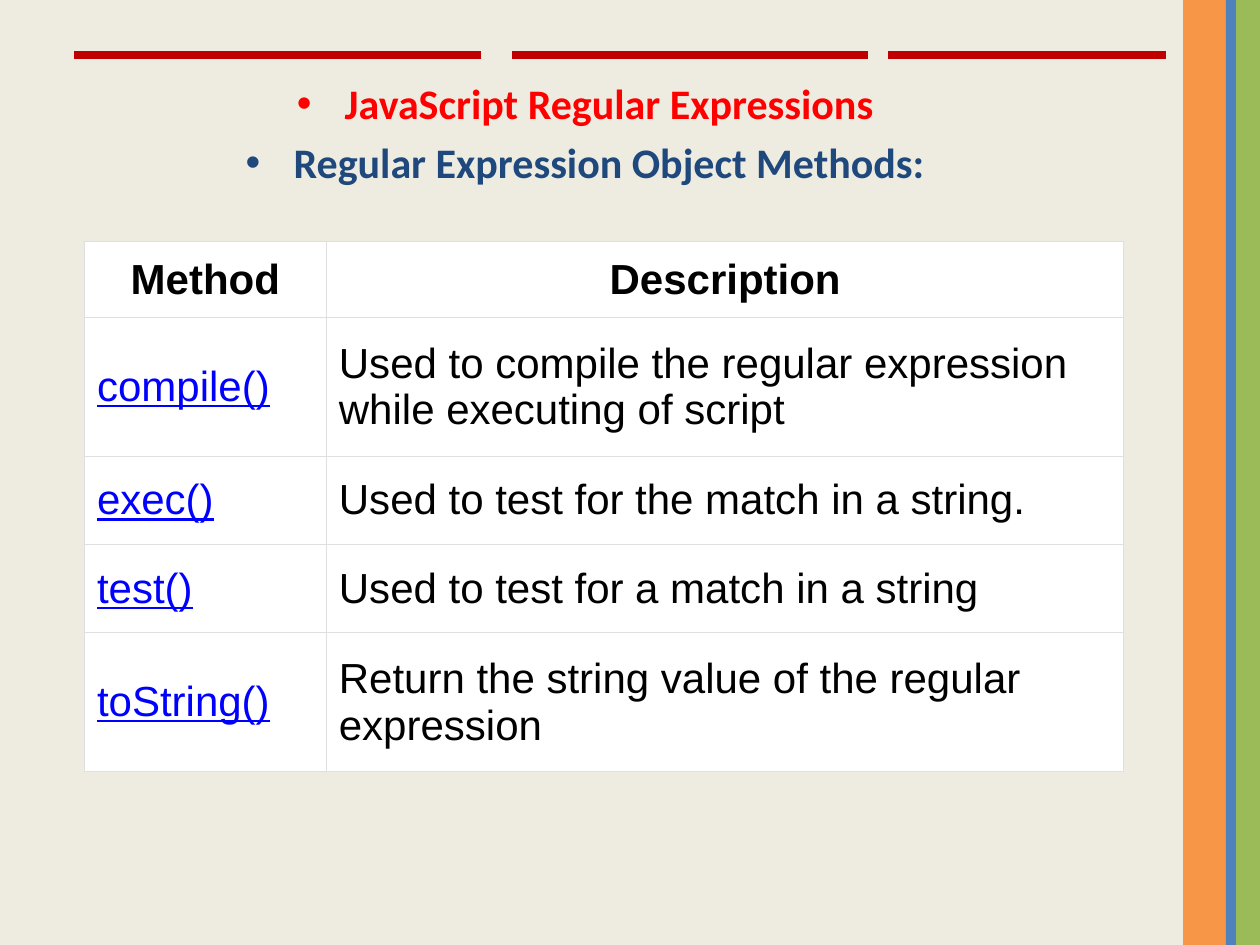
"""Build the slide on JavaScript regular expression object methods."""
import pptx
import pptx.dml.color
import pptx.enum.shapes
import pptx.enum.text
import pptx.oxml
import pptx.oxml.ns
import pptx.util
from dataclasses import dataclass

Inches = pptx.util.Inches
Pt = pptx.util.Pt
ALIGN = pptx.enum.text.PP_ALIGN


@dataclass(frozen=True)
class Theme:
    background: str = "EEECE1"
    orange: str = "F79646"
    blue: str = "4F81BD"
    green: str = "9BBB59"
    rule: str = "C00000"
    title: str = "FF0000"
    subtitle: str = "1F497D"
    cell: str = "FFFFFF"
    border: str = "DFDFDF"
    text: str = "000000"
    method: str = "0000FF"
    heading_font: str = "Calibri"
    table_font: str = "Arial"
    size: float = 24
    rule_width: float = 4.5
    border_width: float = 0.75


THEME = Theme()
HEADINGS = [
    ("JavaScript Regular Expressions", THEME.title, 0),
    ("Regular Expression Object Methods:", THEME.subtitle, 4.8),
]
STRIPES = [(9.39, 9.73, THEME.orange), (9.73, 9.81, THEME.blue), (9.81, 10, THEME.green)]
RULES = [(0.59, 3.82), (4.06, 6.89), (7.05, 9.25)]
RULE_TOP = 0.44
METHODS = [
    ("Method", "Description"),
    ("compile()", "Used to compile the regular expression while executing of script"),
    ("exec()", "Used to test for the match in a string."),
    ("test()", "Used to test for a match in a string"),
    ("toString()", "Return the string value of the regular expression"),
]
COLUMN_WIDTHS = [1.92, 6.33]
ROW_HEIGHTS = [0.58, 1.03, 0.66, 0.66, 1.03]


def color(value):
    return pptx.dml.color.RGBColor.from_string(value)


def add_xml(parent, content):
    parent.append(pptx.oxml.parse_xml(
        content.replace(" ", f" {pptx.oxml.ns.nsdecls('a')} ", 1)))


def add_run(paragraph, text, font_name, value, bold=False, underline=False):
    run = paragraph.add_run()
    run.text = text
    run.font.name = font_name
    run.font.size = Pt(THEME.size)
    run.font.color.rgb = color(value)
    run.font.bold = bold
    run.font.underline = underline


def add_stripe(slide, left, right, value):
    shape = slide.shapes.add_shape(
        pptx.enum.shapes.MSO_SHAPE.RECTANGLE,
        Inches(left), 0, Inches(right - left), Inches(7.5))
    shape.shadow.inherit = False
    shape.fill.solid()
    shape.fill.fore_color.rgb = color(value)
    shape.line.fill.background()


def add_rule(slide, start, end):
    connector = slide.shapes.add_connector(
        pptx.enum.shapes.MSO_CONNECTOR.STRAIGHT,
        Inches(start), Inches(RULE_TOP), Inches(end), Inches(RULE_TOP))
    connector.line.color.rgb = color(THEME.rule)
    connector.line.width = Pt(THEME.rule_width)
    add_xml(connector._element.spPr, "<a:effectLst />")


def add_headings(slide):
    shape = slide.shapes.add_textbox(Inches(0.56), Inches(0.57), Inches(8.17), Inches(6.73))
    frame = shape.text_frame
    frame.word_wrap = True
    for index, (text, value, space) in enumerate(HEADINGS):
        paragraph = frame.paragraphs[0] if index == 0 else frame.add_paragraph()
        paragraph.alignment = ALIGN.CENTER
        paragraph.space_before = Pt(space)
        properties = paragraph._p.get_or_add_pPr()
        properties.set("marL", str(Inches(0.38)))
        properties.set("indent", str(Inches(-0.38)))
        add_xml(properties, f'<a:buClr ><a:srgbClr val="{value}"/></a:buClr>')
        add_xml(properties, '<a:buFont typeface="Arial"/>')
        add_xml(properties, '<a:buChar char="•"/>')
        add_run(paragraph, text, THEME.heading_font, value, bold=True)


def format_cell(cell, text, is_header, is_method):
    side = Inches(0.04 if is_header and is_method else 0.1)
    cell.margin_left = cell.margin_right = side
    cell.margin_top = cell.margin_bottom = Inches(0.1 if is_header else 0.15)
    cell.vertical_anchor = pptx.enum.text.MSO_ANCHOR.MIDDLE
    properties = cell._tc.get_or_add_tcPr()
    for edge in ("lnL", "lnR", "lnT", "lnB"):
        add_xml(properties, f'<a:{edge} w="{Pt(THEME.border_width)}"><a:solidFill>'
                            f'<a:srgbClr val="{THEME.border}"/></a:solidFill></a:{edge}>')
    cell.fill.solid()
    cell.fill.fore_color.rgb = color(THEME.cell)
    paragraph = cell.text_frame.paragraphs[0]
    paragraph.alignment = ALIGN.CENTER if is_header else ALIGN.LEFT
    is_link = is_method and not is_header
    add_run(paragraph, text, THEME.table_font, THEME.method if is_link else THEME.text,
            bold=is_header, underline=is_link)


def add_methods(slide):
    table = slide.shapes.add_table(
        len(METHODS), len(COLUMN_WIDTHS), Inches(0.67), Inches(1.92),
        Inches(sum(COLUMN_WIDTHS)), Inches(sum(ROW_HEIGHTS))).table
    for column, width in zip(table.columns, COLUMN_WIDTHS):
        column.width = Inches(width)
    for row, height in zip(table.rows, ROW_HEIGHTS):
        row.height = Inches(height)
    for row_index, texts in enumerate(METHODS):
        for column_index, text in enumerate(texts):
            format_cell(table.cell(row_index, column_index), text,
                        row_index == 0, column_index == 0)


def main():
    presentation = pptx.Presentation()
    presentation.slide_width = Inches(10)
    presentation.slide_height = Inches(7.5)
    slide = presentation.slides.add_slide(presentation.slide_layouts[6])
    slide.background.fill.solid()
    slide.background.fill.fore_color.rgb = color(THEME.background)
    for stripe in STRIPES:
        add_stripe(slide, *stripe)
    add_headings(slide)
    for rule in RULES:
        add_rule(slide, *rule)
    add_methods(slide)
    presentation.save("out.pptx")


if __name__ == "__main__":
    main()
